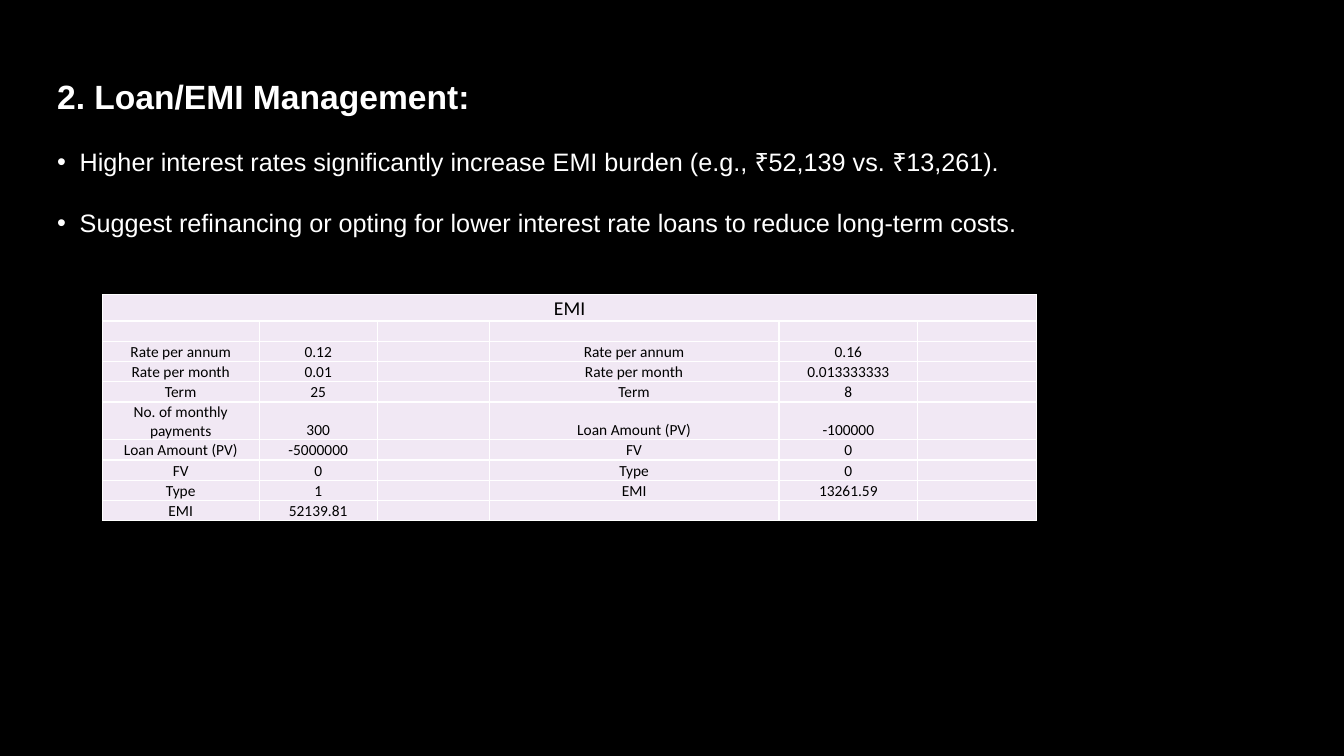
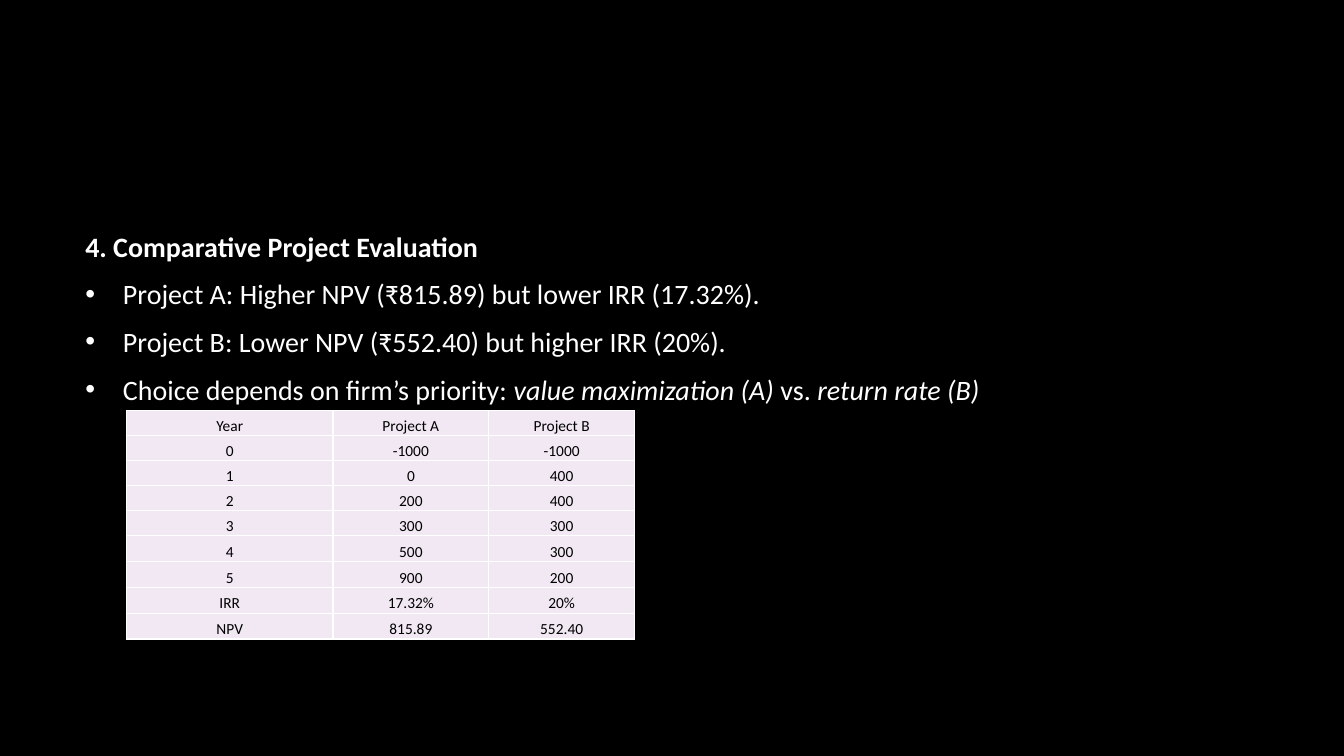
"""Build two finance slides, each with a heading, bullets and a table."""
from lxml import etree
from pptx import Presentation, util as u
from pptx.dml.color import RGBColor
from pptx.enum import text
from pptx.oxml.ns import qn

COLORS = {"back": "000000", "text": "FFFFFF", "cell": "F1E8F4",
          "cell_text": "000000", "border": "FFFFFF"}
TABLE_FONT = "Calibri"

LOAN_BULLETS = [
    [("Higher interest rates significantly increase EMI burden "
      "(e.g., ₹52,139 vs. ₹13,261).", False)],
    [("Suggest refinancing or opting for lower interest rate loans "
      "to reduce long-term costs.", False)],
]
LOAN_ROWS = [
    ["EMI", "", "", "", "", ""],
    ["", "", "", "", "", ""],
    ["Rate per annum", "0.12", "", "Rate per annum", "0.16", ""],
    ["Rate per month", "0.01", "", "Rate per month", "0.013333333", ""],
    ["Term", "25", "", "Term", "8", ""],
    ["No. of monthly payments", "300", "", "Loan Amount (PV)", "-100000", ""],
    ["Loan Amount (PV)", "-5000000", "", "FV", "0", ""],
    ["FV", "0", "", "Type", "0", ""],
    ["Type", "1", "", "EMI", "13261.59", ""],
    ["EMI", "52139.81", "", "", "", ""],
]
PROJECT_BULLETS = [
    [("Project A: Higher NPV (₹815.89) but lower IRR (17.32%).", False)],
    [("Project B: Lower NPV (₹552.40) but higher IRR (20%).", False)],
    [("Choice depends on firm’s priority: ", False),
     ("value maximization (A)", True), (" vs. ", False),
     ("return rate (B)", True)],
]
PROJECT_ROWS = [
    ["Year", "Project A", "Project B"],
    ["0", "-1000", "-1000"],
    ["1", "0", "400"],
    ["2", "200", "400"],
    ["3", "300", "300"],
    ["4", "500", "300"],
    ["5", "900", "200"],
    ["IRR", "17.32%", "20%"],
    ["NPV", "815.89", "552.40"],
]


def rgb(name):
    return RGBColor.from_string(COLORS[name])


def add_slide(prs):
    s = prs.slides.add_slide(prs.slide_layouts[6])
    s.background.fill.solid()
    s.background.fill.fore_color.rgb = rgb("back")
    return s


def add_run(p, words, font, size, color, bold=False, italic=False):
    r = p.add_run()
    r.text = words
    r.font.name, r.font.size = font, u.Pt(size)
    r.font.bold, r.font.italic = bold, italic
    r.font.color.rgb = rgb(color)


def set_bullet(p, indent):
    pPr = p._p.get_or_add_pPr()
    pPr.set("marL", str(u.Cm(indent)))
    pPr.set("indent", str(-u.Cm(indent)))
    etree.SubElement(pPr, qn("a:buFont"), typeface="Arial")
    etree.SubElement(pPr, qn("a:buChar"), char="•")


def add_body(s, box, heading, bullets, font, sizes, gap, indent):
    tf = s.shapes.add_textbox(*map(u.Cm, box)).text_frame
    tf.word_wrap = True
    p = tf.paragraphs[0]
    p.space_after = u.Pt(gap)
    add_run(p, heading, font, sizes[0], "text", bold=True)
    for runs in bullets:
        p = tf.add_paragraph()
        p.space_after = u.Pt(gap)
        set_bullet(p, indent)
        for words, italic in runs:
            add_run(p, words, font, sizes[1], "text", italic=italic)


def set_borders(cell):
    tcPr = cell._tc.get_or_add_tcPr()
    for i, side in enumerate(("lnL", "lnR", "lnT", "lnB")):
        ln = etree.Element(qn(f"a:{side}"), w=str(u.Pt(1)))
        fill = etree.SubElement(ln, qn("a:solidFill"))
        etree.SubElement(fill, qn("a:srgbClr"), val=COLORS["border"])
        tcPr.insert(i, ln)


def fill_cell(cell, words, size):
    cell.fill.solid()
    cell.fill.fore_color.rgb = rgb("cell")
    set_borders(cell)
    cell.margin_left = cell.margin_right = cell.margin_top = u.Cm(0.02)
    cell.margin_bottom = 0
    cell.vertical_anchor = text.MSO_ANCHOR.BOTTOM
    p = cell.text_frame.paragraphs[0]
    p.alignment = text.PP_ALIGN.CENTER
    if words:
        add_run(p, words, TABLE_FONT, size, "cell_text")
    else:
        etree.SubElement(p._p, qn("a:endParaRPr"), sz=str(size * 100))


def add_grid(s, left, top, widths, heights, rows, title_size=11):
    box = map(u.Cm, (left, top, sum(widths), sum(heights)))
    tbl = s.shapes.add_table(len(rows), len(widths), *box).table
    tbl.first_row = tbl.horz_banding = False
    for col, width in zip(tbl.columns, widths):
        col.width = u.Cm(width)
    for i, (row, height) in enumerate(zip(rows, heights)):
        tbl.rows[i].height = u.Cm(height)
        for j, words in enumerate(row):
            fill_cell(tbl.cell(i, j), words, 11 if i else title_size)
    return tbl


def main():
    prs = Presentation()
    prs.slide_width, prs.slide_height = u.Cm(33.87), u.Cm(19.05)

    s = add_slide(prs)
    add_body(s, (1.19, 1.78, 24.9, 4.8), "2. Loan/EMI Management:",
             LOAN_BULLETS, "Arial", (24, 18), 22, 0.57)
    tbl = add_grid(s, 2.58, 7.43, [3.95, 2.98, 2.82, 7.3, 3.5, 3],
                   [0.66] + [0.51] * 4 + [0.95] + [0.51] * 4, LOAN_ROWS, 14)
    tbl.cell(0, 0).merge(tbl.cell(0, 5))

    s = add_slide(prs)
    add_body(s, (1.9, 5.65, 28.15, 4.8), "4. Comparative Project Evaluation",
             PROJECT_BULLETS, "Calibri", (20, 20), 10, 0.95)
    add_grid(s, 3.19, 10.35, [5.2, 3.93, 3.67],
             [0.63] * 5 + [0.65] * 4, PROJECT_ROWS)

    prs.save("out.pptx")


if __name__ == "__main__":
    main()
